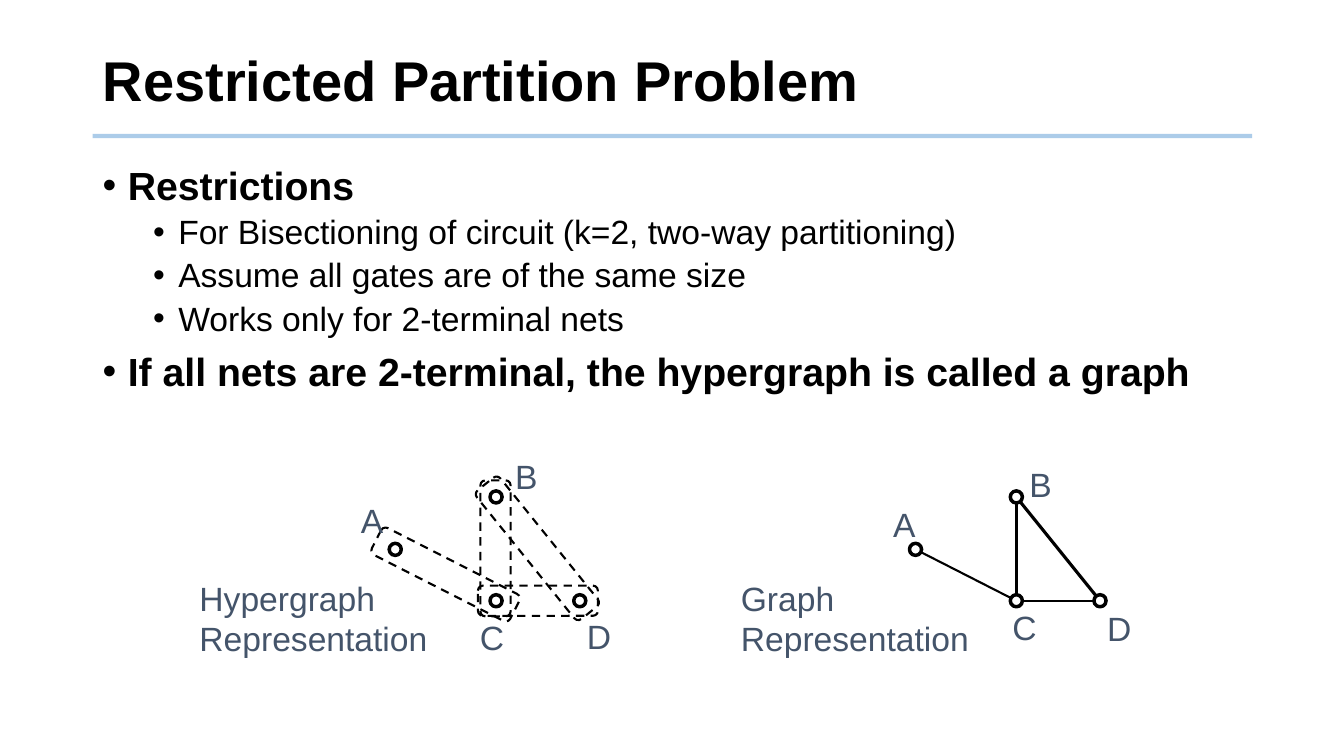
from math import atan2, degrees

from lxml.etree import SubElement
from pptx import Presentation
from pptx.dml.color import RGBColor
from pptx.enum.dml import MSO_LINE
from pptx.enum.shapes import MSO_CONNECTOR, MSO_SHAPE
from pptx.enum.text import MSO_ANCHOR, MSO_AUTO_SIZE, PP_ALIGN
from pptx.oxml.ns import qn
from pptx.util import Pt

PX = 9144  # 100 px to the inch
BLACK, WHITE, SLATE, BLUE = "000000", "FFFFFF", "44546A", "5B9BD5"


def set_color(color_format, hex_color):
    color_format.rgb = RGBColor.from_string(hex_color)


def write(paragraph, text, size, color, bold=False):
    paragraph.text = text
    for name, value in {"size": Pt(size), "name": "Arial", "bold": bold}.items():
        setattr(paragraph.font, name, value)
    set_color(paragraph.font.color, color)


presentation = Presentation()
presentation.slide_width, presentation.slide_height = 1333 * PX, 750 * PX
slide = presentation.slides.add_slide(presentation.slide_layouts[5])
shapes = slide.shapes

# Title and the rule below it
title = shapes.title
title_box = {"left": 92, "top": 28, "width": 1150, "height": 110}
for name, value in title_box.items():
    setattr(title, name, value * PX)
title_format = {"vertical_anchor": MSO_ANCHOR.MIDDLE, "word_wrap": True, "auto_size": MSO_AUTO_SIZE.NONE}
for name, value in title_format.items():
    setattr(title.text_frame, name, value)
paragraph = title.text_frame.paragraphs[0]
write(paragraph, "Restricted Partition Problem", 40, BLACK, True)
paragraph.alignment, paragraph.line_spacing = PP_ALIGN.LEFT, 0.9

rule = shapes.add_connector(MSO_CONNECTOR.STRAIGHT, 92 * PX, 135 * PX, 1242 * PX, 135 * PX)
rule.line.width = Pt(3)
set_color(rule.line.color, BLUE)
rule_color = rule.line.color._xFill.find(qn("a:srgbClr"))
SubElement(rule_color, qn("a:alpha"), val="50000")
SubElement(rule._element.spPr, qn("a:effectLst"))

# Bulleted text
bullets = [
    (0, "Restrictions"),
    (1, "For Bisectioning of circuit (k=2, two-way partitioning)"),
    (1, "Assume all gates are of the same size"),
    (1, "Works only for 2-terminal nets"),
    (0, "If all nets are 2-terminal, the hypergraph is called a graph"),
]
body = shapes.add_textbox(92 * PX, 160 * PX, 1150 * PX, 515 * PX).text_frame
body.word_wrap = True
for index, (level, text) in enumerate(bullets):
    paragraph = body.add_paragraph() if index else body.paragraphs[0]
    properties = paragraph._p.get_or_add_pPr()
    properties.set("marL", str((25 + 50 * level) * PX))
    properties.set("indent", str(-25 * PX))
    SubElement(properties, qn("a:buFont"), typeface="Arial")
    SubElement(properties, qn("a:buChar"), char="•")
    write(paragraph, text, 28 - 4 * level, BLACK, level == 0)
    paragraph.level, paragraph.line_spacing = level, 0.9
    paragraph.space_before = Pt(10 - 5 * level if index else 0)

# Node centres, shared by both diagrams; the graph stands to the right
nodes = {"A": (392, 545), "B": (492, 493), "C": (492, 596), "D": (575, 596)}
GRAPH_SHIFT = 516
NODE, NET = 12, 30

# Nets of the hypergraph: ends and length of the dashed outline
for start, end, length in [("C", "D", 119), ("B", "D", 164), ("A", "C", 154), ("C", "B", 135)]:
    (x1, y1), (x2, y2) = nodes[start], nodes[end]
    left, top = (x1 + x2 - length) // 2, (y1 + y2 - NET) // 2
    net = shapes.add_shape(MSO_SHAPE.ROUNDED_RECTANGLE, left * PX, top * PX, length * PX, NET * PX)
    net.rotation = degrees(atan2(y2 - y1, x2 - x1))
    net.shadow.inherit = False
    net.fill.background()
    set_color(net.line.color, BLACK)
    net.line.width, net.line.dash_style = Pt(1.5), MSO_LINE.DASH

# Edges of the graph
for start, end, weight in [("B", "C", 2.25), ("C", "A", 1.5), ("C", "D", 1.5), ("D", "B", 2.25)]:
    (x1, y1), (x2, y2) = nodes[start], nodes[end]
    edge = shapes.add_connector(
        MSO_CONNECTOR.STRAIGHT, (x1 + GRAPH_SHIFT) * PX, y1 * PX, (x2 + GRAPH_SHIFT) * PX, y2 * PX)
    edge.line.width = Pt(weight)
    set_color(edge.line.color, BLACK)
    SubElement(edge._element.spPr, qn("a:effectLst"))

for shift in (0, GRAPH_SHIFT):
    for x, y in nodes.values():
        left, top = x + shift - NODE // 2, y - NODE // 2
        node = shapes.add_shape(MSO_SHAPE.OVAL, left * PX, top * PX, NODE * PX, NODE * PX)
        node.shadow.inherit = False
        if shift:
            node.fill.solid()
            set_color(node.fill.fore_color, WHITE)
        else:
            node.fill.background()
        set_color(node.line.color, BLACK)
        node.line.width = Pt(2.5)

# Node letters and captions
labels = [
    ("A", 348, 491, 42), ("B", 501, 447, 42), ("C", 466, 607, 44), ("D", 572, 606, 44),
    ("A", 876, 495, 42), ("B", 1011, 455, 42), ("C", 994, 597, 44), ("D", 1088, 598, 44),
    ("Hypergraph\nRepresentation", 188, 568, 247), ("Graph\nRepresentation", 725, 568, 247),
]
for text, left, top, width in labels:
    lines = text.split("\n")
    label = shapes.add_textbox(left * PX, top * PX, width * PX, (10 + 40 * len(lines)) * PX).text_frame
    label.word_wrap = False
    for index, line in enumerate(lines):
        paragraph = label.add_paragraph() if index else label.paragraphs[0]
        write(paragraph, line, 24, SLATE)
        paragraph.alignment = PP_ALIGN.CENTER if len(lines) == 1 else PP_ALIGN.LEFT

presentation.save("out.pptx")
